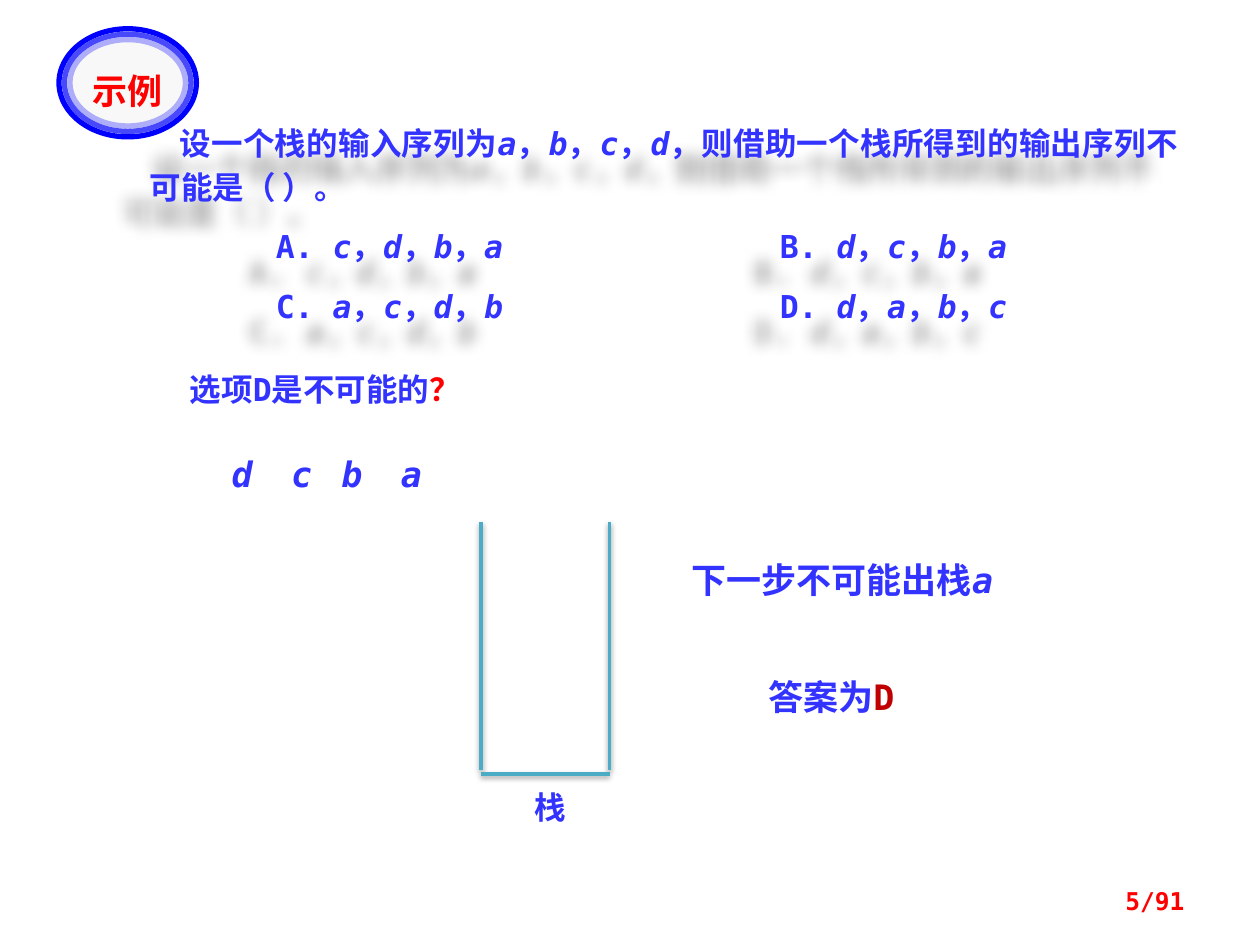
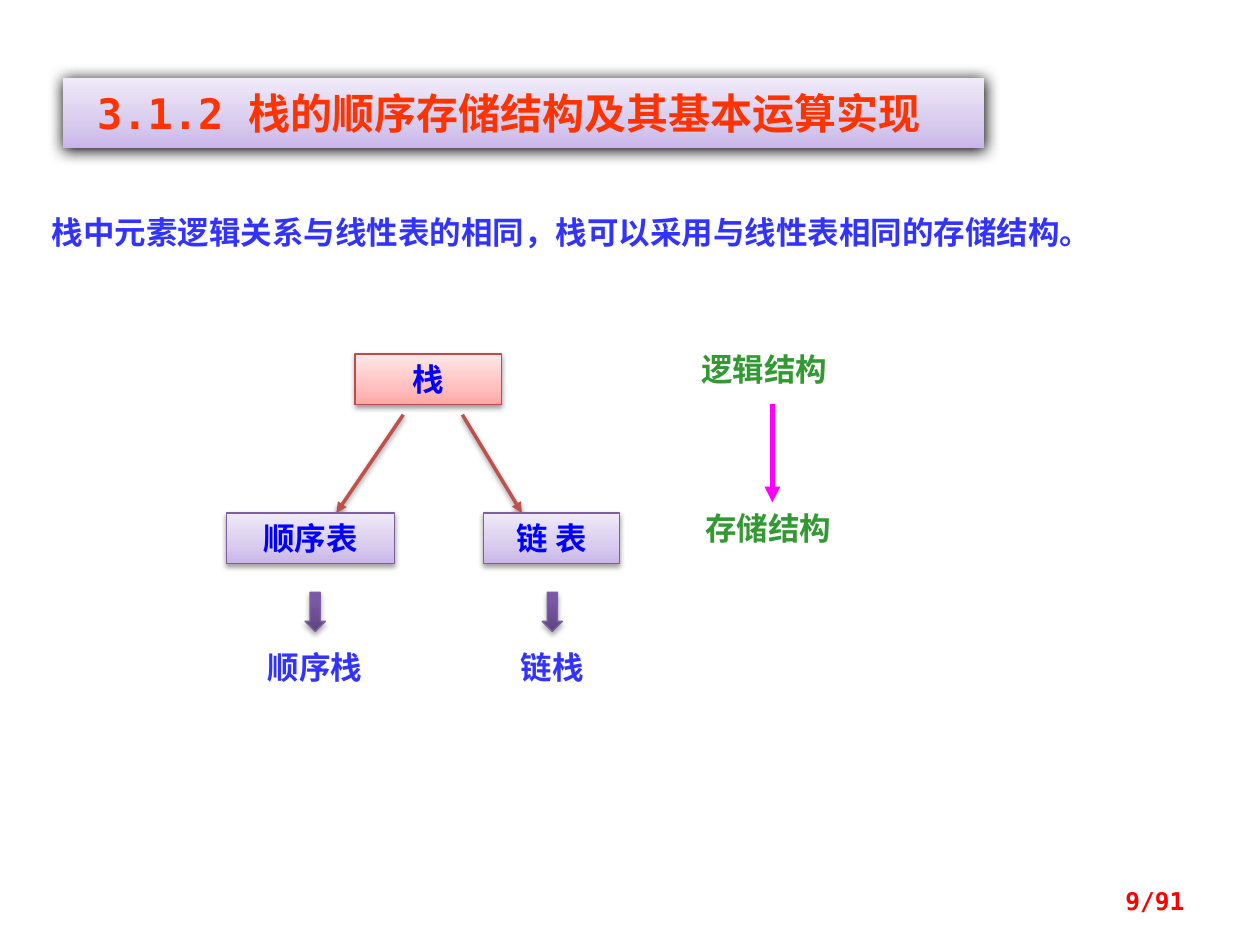
from lxml import etree
from pptx import Presentation
from pptx import util as u
from pptx.dml.color import RGBColor
from pptx.enum import shapes, text
from pptx.oxml import ns

BLUE = RGBColor(0x33, 0x33, 0xFF)
PURE = RGBColor(0x00, 0x00, 0xFF)
RED = RGBColor(0xFF, 0x00, 0x00)
DARK = RGBColor(0xC0, 0x00, 0x00)
ORANGE = RGBColor(0xFF, 0x33, 0x00)
GREEN = RGBColor(0x33, 0x99, 0x33)
PINK = RGBColor(0xFF, 0x00, 0xFF)
TEAL = RGBColor(0x4B, 0xAC, 0xC6)
BRICK = RGBColor(0xC0, 0x50, 0x4D)
ROSE = RGBColor(0xBF, 0x4C, 0x48)
PLUM = RGBColor(0x7D, 0x60, 0xA0)
PALE = RGBColor(0xF8, 0xF8, 0xF8)
BLACK = RGBColor(0, 0, 0)

LILAC_FADE = [(0, "C9B5E8"), (35, "D8CBEE"), (100, "F0EAF9")]
ROSE_FADE = [(0, "FFA6A5"), (35, "FFC0BF"), (100, "FFE7E7")]
PLUM_FADE = [(0, "5F4480"), (80, "7B58A6"), (100, "7C57A8")]
SOFT = (38, 3.1, 1.6, 90)

MONO = "DejaVu Sans Mono"
HAN = "Noto Sans CJK SC"
LEFT, MID = text.PP_ALIGN.LEFT, text.PP_ALIGN.CENTER
RIGHT, JUST = text.PP_ALIGN.RIGHT, text.PP_ALIGN.JUSTIFY
KIND = shapes.MSO_SHAPE


def node(base, tag, **attrs):
    """Append a drawing element with its attributes."""
    item = etree.SubElement(base, ns.qn("a:" + tag))
    for key, value in attrs.items():
        item.set(key, str(value))
    return item


def tint(base, color, alpha):
    """Append a colour with an opacity in percent."""
    node(node(base, "srgbClr", val=color), "alpha", val=alpha * 1000)


def shade(shape, cast=None):
    """Give a shape the shadow (opacity, blur, distance, angle), or none."""
    props = shape._element.spPr
    for old in props.findall(ns.qn("a:effectLst")):
        props.remove(old)
    effect = node(props, "effectLst")
    if cast:
        alpha, blur, dist, angle = cast
        outer = node(effect, "outerShdw", blurRad=u.Pt(blur), dist=u.Pt(dist),
                     dir=angle * 60000, algn="ctr", rotWithShape=0)
        tint(outer, BLACK, alpha)


def fade(shape, stops):
    """Fill a shape with a gradient that rises from its bottom edge."""
    shape.fill.solid()
    props = shape._element.spPr
    grad = etree.Element(ns.qn("a:gradFill"), rotWithShape="1")
    props.replace(props.find(ns.qn("a:solidFill")), grad)
    rule = node(grad, "gsLst")
    for pos, color in stops:
        node(node(rule, "gs", pos=pos * 1000), "srgbClr", val=color)
    node(grad, "lin", ang=270 * 60000, scaled=0)


def place(shape, box):
    """Move and size a shape to a box in centimetres."""
    shape.left, shape.top, shape.width, shape.height = map(u.Cm, box)


def add_run(para, words, size, color=BLUE, font=MONO, italic=False):
    """Add one bold run with its Latin and East Asian fonts."""
    run = para.add_run()
    run.text = words
    face = run.font
    face.size, face.name = u.Pt(size), font
    face.bold, face.italic = True, italic
    face.color.rgb = color
    node(run._r.get_or_add_rPr(), "ea", typeface=HAN)


def write(shape, runs, align=LEFT, anchor=text.MSO_ANCHOR.TOP, inset=0.25):
    """Write one paragraph of runs into a shape."""
    frame = shape.text_frame
    frame.word_wrap = True
    frame.auto_size = text.MSO_AUTO_SIZE.NONE
    frame.vertical_anchor = anchor
    frame.margin_left = frame.margin_right = u.Cm(inset)
    frame.margin_top = frame.margin_bottom = u.Cm(inset / 2)
    para = frame.paragraphs[0]
    para.alignment = align
    for run in runs:
        add_run(para, *run)


def label(slide, box, runs, align=LEFT, **style):
    """Add a text box with one paragraph."""
    write(slide.shapes.add_textbox(*map(u.Cm, box)), runs, align, **style)


def block(slide, kind, box, edge, width, stops=None, cast=None):
    """Add an outlined shape, faded or empty."""
    shape = slide.shapes.add_shape(kind, *map(u.Cm, box))
    if stops:
        fade(shape, stops)
    else:
        shape.fill.background()
    shape.line.color.rgb = edge
    shape.line.width = u.Pt(width)
    shade(shape, cast)
    return shape


def line(slide, start, end, color, width, cast=None, arrow=False):
    """Add a straight line, with an arrowhead if asked."""
    link = slide.shapes.add_connector(
        shapes.MSO_CONNECTOR.STRAIGHT, *map(u.Cm, start + end))
    link.line.color.rgb = color
    link.line.width = u.Pt(width)
    if arrow:
        node(link.line._get_or_add_ln(), "tailEnd", type="triangle")
    shade(link, cast)


def new_slide(deck, page):
    """Add a titled slide with its page number."""
    slide = deck.slides.add_slide(deck.slide_layouts[5])
    label(slide, (18.21, 17.65, 5.92, 1.02), [(f"{page}/91", 14, RED)], RIGHT,
          anchor=text.MSO_ANCHOR.MIDDLE)
    return slide


def series(names):
    """Return runs of italic letters parted by commas."""
    runs = []
    for name in names:
        if runs:
            runs.append(("，", 18))
        runs.append((name, 18, BLUE, MONO, True))
    return runs


def badge(slide, box):
    """Draw the ringed oval with the title in it."""
    x, y, w, h = box
    for step, alpha in enumerate((100, 70, 30)):
        gap = 0.11 * step
        ring = block(slide, KIND.OVAL,
                     (x + gap, y + gap, w - 2 * gap, h - 2 * gap), PURE, 3)
        if step == 0:
            ring.fill.solid()
            ring.fill.fore_color.rgb = PALE
        paint = ring.line._get_or_add_ln().find(ns.qn("a:solidFill"))
        paint.clear()
        tint(paint, PURE, alpha)
    title = slide.shapes.title
    place(title, (x + 0.16, y + 0.69, w - 0.33, 0.99))
    write(title, [("示例", 20, RED, HAN)], MID)
    slide.shapes._spTree.append(title._element)


def question(slide, box):
    """Write the question and its four options on tab stops."""
    shape = slide.shapes.add_textbox(*map(u.Cm, box))
    stem = [("设一个栈的输入序列为", 18), *series("abcd"),
            ("，则借助一个栈所得到的输出序列不可能是（ ）。", 18)]
    write(shape, stem, JUST)
    paras = [shape.text_frame.paragraphs[0]]
    for pair in ((("A", "cdba"), ("B", "dcba")), (("C", "acdb"), ("D", "dabc"))):
        para = shape.text_frame.add_paragraph()
        para.alignment = JUST
        para.space_before = u.Pt(9)
        tabs = node(para._p.get_or_add_pPr(), "tabLst")
        for stop in (2.54, 12.7):
            node(tabs, "tab", pos=u.Cm(stop), algn="l")
        for key, names in pair:
            for run in [(f"\t{key}. ", 18), *series(names)]:
                add_run(para, *run)
        paras.append(para)
    for para in paras:
        para.line_spacing = u.Pt(25)
    paras[0]._p.get_or_add_pPr().set("indent", str(u.Cm(0.6)))
    shade(shape, (35, 8, 20.5, 138))


def stack(slide, box):
    """Draw the open stack with its name below."""
    x, y, w, h = box
    for side in (x, x + w):
        line(slide, (side, y), (side, y + h - 0.08), TEAL, 2, SOFT)
    line(slide, (x, y + h), (x + w, y + h), TEAL, 2, SOFT)
    label(slide, (x + 0.79, y + h + 0.28, 1.19, 0.76),
          [("栈", 18, BLUE, HAN)], MID, inset=0)


def example(deck):
    """Build the worked example."""
    slide = new_slide(deck, 5)
    question(slide, (2.77, 2.26, 21.23, 4.67))
    stack(slide, (9.7, 10.52, 2.59, 5.08))
    for name, x in zip("dcba", (4.29, 5.49, 6.5, 7.7)):
        label(slide, (x, 9.12, 1.19, 0.86),
              [(name, 20, BLUE, MONO, True)], MID, inset=0)
    label(slide, (3.58, 7.34, 9.6, 1.02),
          [("选项D是不可能的", 18), ("？", 18, RED)])
    label(slide, (13.69, 11.13, 8.81, 1.12),
          [("下一步不可能出栈", 20), ("a", 20, BLUE, MONO, True)])
    label(slide, (14.88, 13.49, 3.76, 1.12),
          [("答案为", 20), ("D", 20, DARK)], MID)
    badge(slide, (1.19, 0.58, 2.77, 2.18))


def band(slide, box, words):
    """Turn the title into a shaded band."""
    title = slide.shapes.title
    place(title, box)
    fade(title, LILAC_FADE)
    shade(title, (100, 8.5, 1, 90))
    write(title, [(words, 24, ORANGE)], MID, text.MSO_ANCHOR.MIDDLE)
    title.text_frame.margin_right = u.Cm(0.84)


def tree(slide, box):
    """Draw the stack and the two lists that can store it."""
    x, y = box[:2]
    low = y + 3.2
    root = block(slide, KIND.RECTANGLE, (x + 2.59, y, 2.95, 1.02),
                 ROSE, 0.75, ROSE_FADE, SOFT)
    write(root, [("栈", 18, PURE, "Calibri")], MID)
    for start, end in ((3.56, 2.21), (4.75, 5.95)):
        line(slide, (x + start, y + 1.22), (x + end, low), BRICK, 2, SOFT, True)
    for store, left, width, result, mid in (
            ("顺序表", 0, 3.38, "顺序栈", 1.78), ("链 表", 5.18, 2.74, "链栈", 6.56)):
        card = block(slide, KIND.RECTANGLE, (x + left, low, width, 1.02),
                     PLUM, 0.75, LILAC_FADE, SOFT)
        write(card, [(store, 18, PURE, HAN)], MID)
        block(slide, KIND.DOWN_ARROW, (x + mid - 0.2, low + 1.6, 0.41, 0.79),
              PLUM, 0.75, PLUM_FADE, (35, 3.1, 1.8, 90))
        label(slide, (x + mid - 2.18, low + 2.59, 4.37, 1.02),
              [(result, 18, BLUE, HAN)], MID)


def levels(slide, box):
    """Draw the step from logical to storage structure."""
    x, y, w, h = box
    label(slide, (x, y, w, 1.02), [("逻辑结构", 18, GREEN, HAN)])
    label(slide, (x + 0.08, y + h - 1.02, w, 1.02),
          [("存储结构", 18, GREEN, HAN)])
    line(slide, (x + 1.68, y + 1.22), (x + 1.68, y + 3.2), PINK, 3, arrow=True)


def storage(deck):
    """Build the slide on storage structures."""
    slide = new_slide(deck, 9)
    band(slide, (1.27, 1.57, 18.57, 1.42), "3.1.2 栈的顺序存储结构及其基本运算实现")
    label(slide, (0.79, 4.17, 24, 1.02),
          [("栈中元素逻辑关系与线性表的相同，栈可以采用与线性表相同的存储结构。",
            18, BLUE, "Times New Roman")])
    levels(slide, (13.89, 6.93, 3.99, 4.22))
    tree(slide, (4.57, 7.14, 7.92, 6.81))


def main():
    """Build and save the deck."""
    deck = Presentation()
    deck.slide_width, deck.slide_height = u.Cm(25.4), u.Cm(19.05)
    example(deck)
    storage(deck)
    deck.save("out.pptx")


if __name__ == "__main__":
    main()
